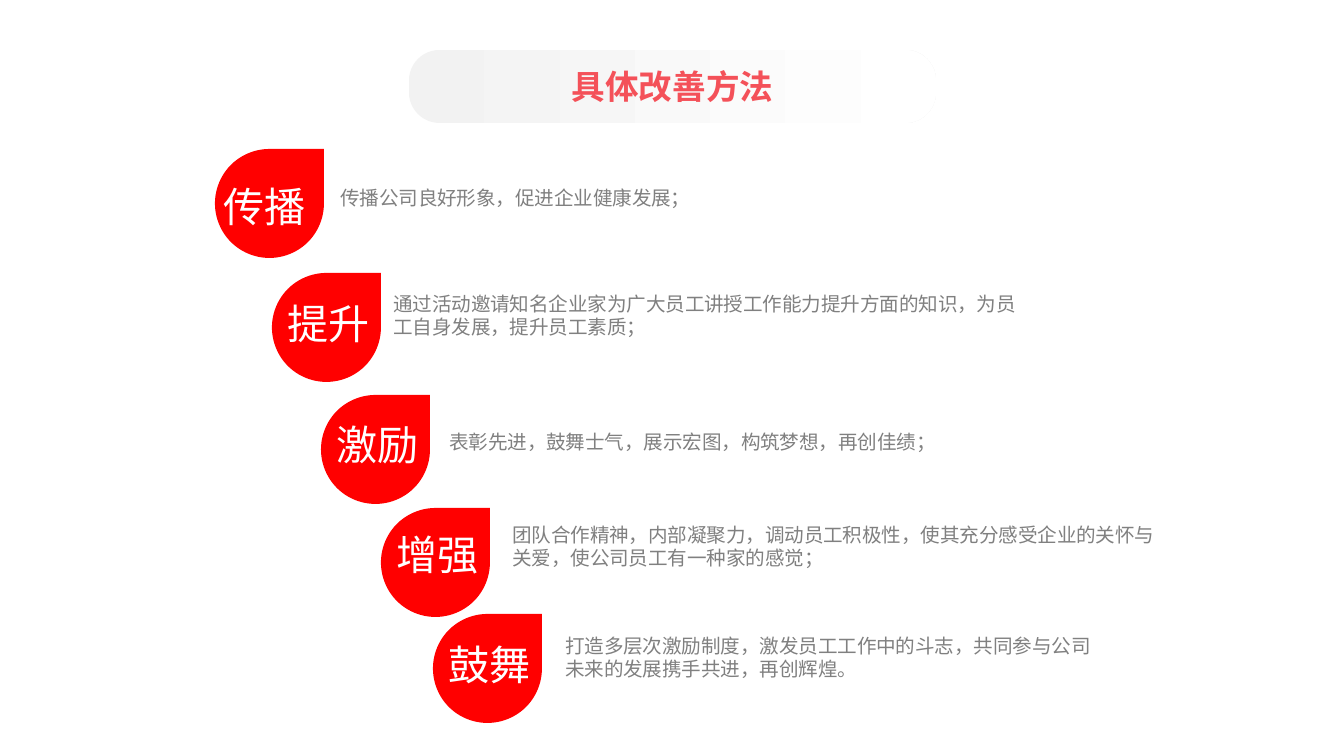
from pptx import Presentation
from pptx.dml.color import RGBColor
from pptx.enum.shapes import MSO_SHAPE
from pptx.enum.text import MSO_ANCHOR, PP_ALIGN
from pptx.util import Pt

PX = 914400 / 134.4
DROP_SIZE = 109
LABEL_WIDTH, LABEL_HEIGHT = 114, 63


def px(*lengths):
    """Turn pixel lengths into EMU."""
    return [round(length * PX) for length in lengths]


def write(box, text, size, color, bold=False):
    box.text_frame.word_wrap = True
    run = box.text_frame.paragraphs[0].add_run()
    run.text = text
    run.font.name = "Arial"
    run.font.size = Pt(size)
    run.font.bold = bold
    run.font.color.rgb = RGBColor.from_string(color)


prs = Presentation()
prs.slide_width, prs.slide_height = px(1344, 756)
slide = prs.slides.add_slide(prs.slide_layouts[5])
shapes = slide.shapes

# Title on a fading pill
heading_area = px(409, 50, 527, 73)
pill = shapes.add_shape(MSO_SHAPE.ROUNDED_RECTANGLE, *heading_area)
pill.adjustments[0] = 0.42
pill.shadow.inherit = False
pill.line.fill.background()
pill.fill.gradient()
pill.fill.gradient_angle = 0
for stop, color in zip(pill.fill.gradient_stops, ("F2F2F2", "FFFFFF")):
    stop.color.rgb = RGBColor.from_string(color)

heading = shapes.title
heading.left, heading.top, heading.width, heading.height = heading_area
heading.text_frame.vertical_anchor = MSO_ANCHOR.MIDDLE
heading.text_frame.paragraphs[0].alignment = PP_ALIGN.CENTER
write(heading, "具体改善方法", 18, "F45159", bold=True)
heading._element.addprevious(pill._element)  # pill goes behind the title

# Keyword, drop corner, keyword corner, description corner and size
methods = [
    ("传播", (215, 149), (210, 175), (327, 179, 943, 38),
     "传播公司良好形象，促进企业健康发展；"),
    ("提升", (272, 273), (274, 292), (380, 285, 661, 60),
     "通过活动邀请知名企业家为广大员工讲授工作能力提升方面的知识，为员工自身发展，提升员工素质；"),
    ("激励", (321, 395), (323, 413), (436, 423, 943, 38),
     "表彰先进，鼓舞士气，展示宏图，构筑梦想，再创佳绩；"),
    ("增强", (381, 508), (383, 523), (499, 516, 683, 60),
     "团队合作精神，内部凝聚力，调动员工积极性，使其充分感受企业的关怀与关爱，使公司员工有一种家的感觉；"),
    ("鼓舞", (433, 614), (435, 633), (552, 627, 558, 60),
     "打造多层次激励制度，激发员工工作中的斗志，共同参与公司未来的发展携手共进，再创辉煌。"),
]
for keyword, drop_corner, keyword_corner, description_area, description in methods:
    drop = shapes.add_shape(MSO_SHAPE.TEAR, *px(*drop_corner, DROP_SIZE, DROP_SIZE))
    drop.shadow.inherit = False
    drop.fill.solid()
    drop.fill.fore_color.rgb = RGBColor.from_string("FF0000")
    drop.line.fill.background()

    keyword_box = shapes.add_textbox(*px(*keyword_corner, LABEL_WIDTH, LABEL_HEIGHT))
    write(keyword_box, keyword, 22, "FFFFFF")

    description_box = shapes.add_textbox(*px(*description_area))
    write(description_box, description, 10.5, "808080")

prs.save("out.pptx")
